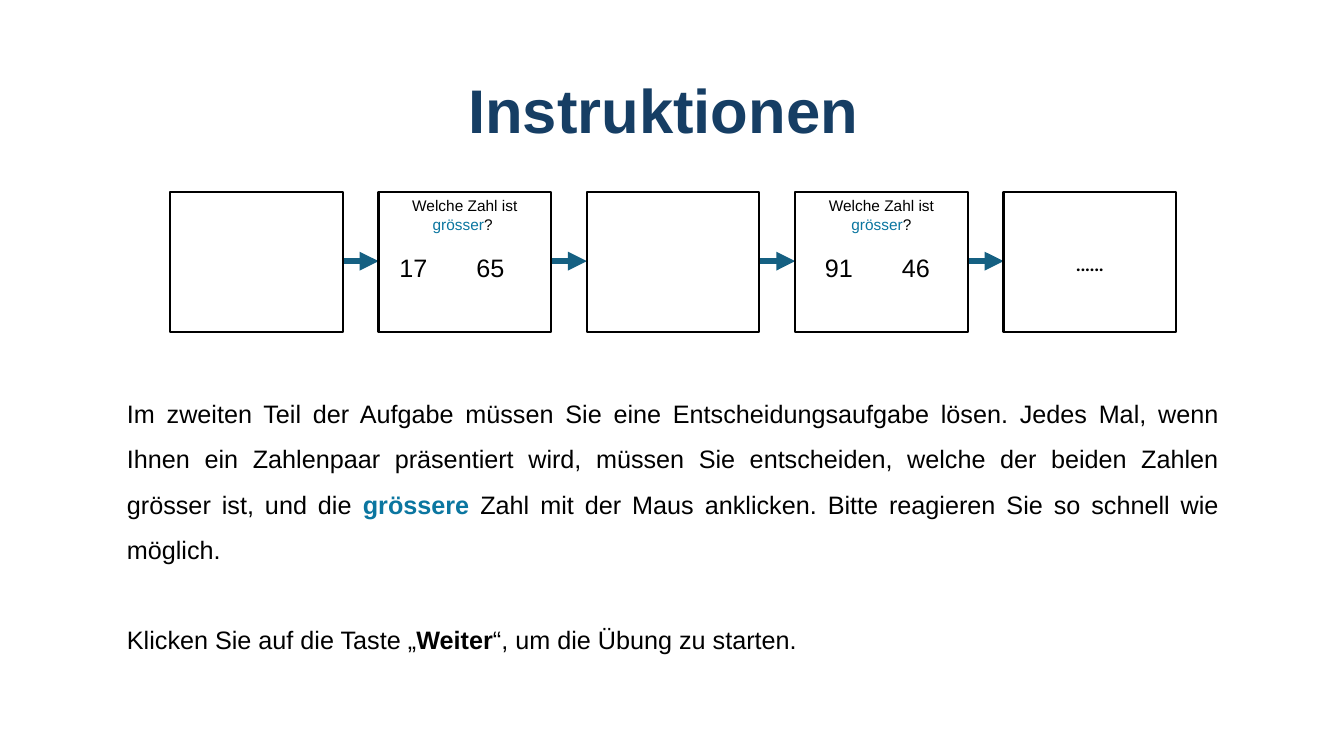
from lxml.etree import SubElement
from pptx import Presentation
from pptx.dml.color import RGBColor
from pptx.enum.shapes import MSO_CONNECTOR as Connector, MSO_SHAPE as Shape
from pptx.enum.text import MSO_ANCHOR as Anchor, MSO_AUTO_SIZE as AutoSize, PP_ALIGN as Align
from pptx.oxml.ns import qn
from pptx.util import Cm, Pt

BLACK = RGBColor(0x00, 0x00, 0x00)
NAVY = RGBColor(0x16, 0x3E, 0x64)
TEAL = RGBColor(0x0B, 0x76, 0xA0)
ARROW_BLUE = RGBColor(0x15, 0x60, 0x82)

SCREEN_LEFT, SCREEN_TOP = 4.29, 4.83
SCREEN_WIDTH, SCREEN_HEIGHT = 4.35, 3.53
SCREEN_PITCH = 5.25
SCREEN_COUNT = 5
ARROW_Y = 6.58
NUMBER_GAP = 1.94


class InstructionSlide:
    font = "Arial"

    def __init__(self, presentation):
        self.slide = presentation.slides.add_slide(presentation.slide_layouts[6])

    def add_runs(self, paragraph, pieces, size, align, font=None):
        paragraph.alignment = align
        for text, color, bold in pieces:
            run = paragraph.add_run()
            run.text = text
            run.font.name = font or self.font
            run.font.size = Pt(size)
            run.font.bold = bold
            run.font.color.rgb = color

    def text_box(self, left, top, width, height, anchor=Anchor.TOP):
        box = self.slide.shapes.add_textbox(Cm(left), Cm(top), Cm(width), Cm(height))
        frame = box.text_frame
        frame.word_wrap = True
        frame.auto_size = AutoSize.NONE
        frame.vertical_anchor = anchor
        return frame

    def screen(self, left):
        shape = self.slide.shapes.add_shape(
            Shape.RECTANGLE, Cm(left), Cm(SCREEN_TOP), Cm(SCREEN_WIDTH), Cm(SCREEN_HEIGHT))
        shape.shadow.inherit = False
        shape.fill.background()
        shape.line.color.rgb = BLACK
        shape.line.width = Pt(1.5)
        return shape.text_frame

    def question(self, frame, ending, numbers, first_center):
        frame.vertical_anchor = Anchor.TOP
        pieces = [("Welche Zahl ist ", BLACK, False), ("grösser", TEAL, False),
                  (ending, BLACK, False)]
        self.add_runs(frame.paragraphs[0], pieces, 11, Align.CENTER)
        paragraph = frame.add_paragraph()
        paragraph.space_before = Pt(13)
        tabs = SubElement(paragraph._p.get_or_add_pPr(), qn("a:tabLst"))
        for index in range(len(numbers)):
            position = Cm(first_center + index * NUMBER_GAP)
            SubElement(tabs, qn("a:tab"), pos=str(position), algn="ctr")
        text = "".join(f"\t{number}" for number in numbers)
        self.add_runs(paragraph, [(text, BLACK, False)], 18, Align.LEFT)

    def arrow(self, start, end):
        connector = self.slide.shapes.add_connector(
            Connector.STRAIGHT, Cm(start), Cm(ARROW_Y), Cm(end), Cm(ARROW_Y))
        connector.line.color.rgb = ARROW_BLUE
        connector.line.width = Pt(4.5)
        properties = connector._element.spPr
        SubElement(properties.find(qn("a:ln")), qn("a:tailEnd"), type="triangle")
        SubElement(properties, qn("a:effectLst"))


def main():
    presentation = Presentation()
    presentation.slide_width = Cm(33.87)
    presentation.slide_height = Cm(19.05)
    page = InstructionSlide(presentation)

    body = page.text_box(2.95, 9.53, 28.02, 7.04)
    task = [
        ("Im zweiten Teil der Aufgabe müssen Sie eine Entscheidungsaufgabe lösen. "
         "Jedes Mal, wenn Ihnen ein Zahlenpaar präsentiert wird, müssen Sie entscheiden, "
         "welche der beiden Zahlen grösser ist, und die ", BLACK, False),
        ("grössere", TEAL, True),
        (" Zahl mit der Maus anklicken. Bitte reagieren Sie so schnell wie möglich. ",
         BLACK, False),
    ]
    start = [("Klicken Sie auf die Taste „", BLACK, False), ("Weiter", BLACK, True),
             ("“, um die Übung zu starten.", BLACK, False)]
    page.add_runs(body.paragraphs[0], task, 18, Align.JUSTIFY)
    closing = body.add_paragraph()
    closing.space_before = Pt(32)
    page.add_runs(closing, start, 18, Align.JUSTIFY)
    for paragraph in body.paragraphs:
        paragraph.line_spacing = 1.5

    lefts = [SCREEN_LEFT + index * SCREEN_PITCH for index in range(SCREEN_COUNT)]
    for left, following in zip(lefts, lefts[1:]):
        page.arrow(left + SCREEN_WIDTH, following)
    screens = [page.screen(left) for left in lefts]
    page.question(screens[1], "? ", (17, 65), 0.63)
    page.question(screens[3], "?", (91, 46), 0.85)
    screens[4].vertical_anchor = Anchor.MIDDLE
    page.add_runs(screens[4].paragraphs[0], [("……", BLACK, False)], 18, Align.CENTER, "Karla")

    title = page.text_box(2.33, 1.02, 29.21, 3.68, Anchor.MIDDLE)
    title.paragraphs[0].line_spacing = 0.9
    page.add_runs(title.paragraphs[0], [("Instruktionen ", NAVY, True)], 44, Align.CENTER)

    presentation.save("out.pptx")


if __name__ == "__main__":
    main()
